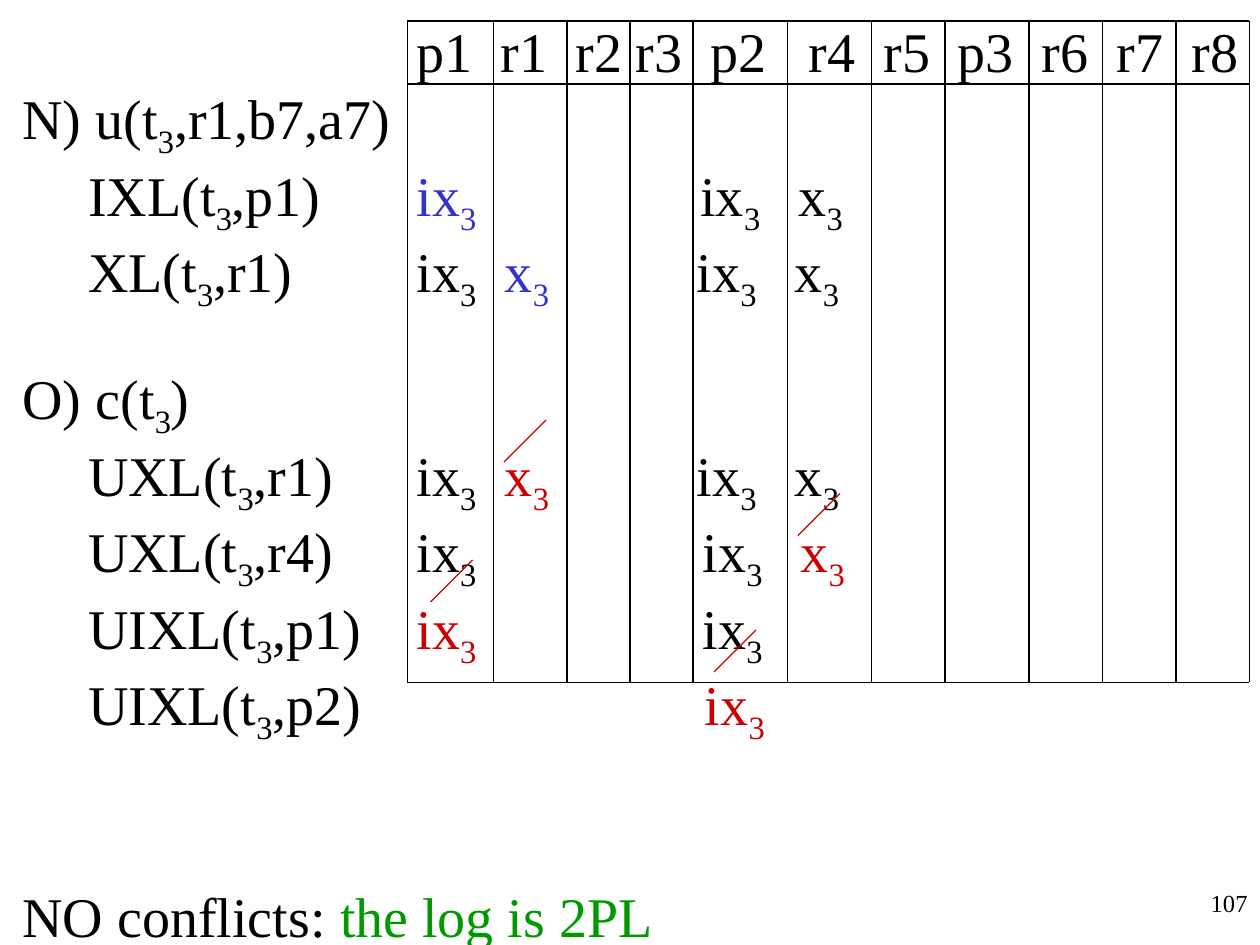
from lxml.etree import SubElement
from pptx import Presentation
from pptx.dml.color import RGBColor
from pptx.enum.shapes import MSO_CONNECTOR
from pptx.enum.text import PP_ALIGN as Align
from pptx.oxml.ns import qn
from pptx.util import Pt

COLORS = {"black": "000000", "blue": "3333CC", "red": "CC0000", "green": "009900"}
FONT = "Times New Roman"
FRAME = {
    "word_wrap": True,
    "margin_left": Pt(7.2), "margin_right": Pt(7.2),
    "margin_top": Pt(3.6), "margin_bottom": Pt(3.6),
}

# Tab positions, measured from the left edge of the text
COMMAND, P1, R1 = 37.5, 225.2, 275.6
HEADER_TABS = [P1, 273.2, 316, 350.4, 393.2, 449.3, 492, 534.5, 582.5, 625.2, 668]
RESOURCES = ["p1", "r1", "r2", "r3", "p2", "r4", "r5", "p3", "r6", "r7", "r8"]

STEP_GAP, CONCLUSION_GAP = 28.9, 76.9

# Each row: space before, then cells of (tab position, text, colour).
# An underscore sets the next character as a subscript.
LOG_ROWS = [
    (0, [(tab, name, "black") for tab, name in zip(HEADER_TABS, RESOURCES)]),
    (0, [(0, "N) u(t_3,r1,b7,a7)", "black")]),
    (0, [(COMMAND, "IXL(t_3,p1)", "black"), (P1, "ix_3", "blue"),
         (387.4, "ix_3", "black"), (443.5, "x_3", "black")]),
    (0, [(COMMAND, "XL(t_3,r1)", "black"), (P1, "ix_3", "black"),
         (R1, "x_3", "blue"), (385.3, "ix_3", "black"), (441.3, "x_3", "black")]),
    (STEP_GAP, [(0, "O) c(t_3)", "black")]),
    (0, [(COMMAND, "UXL(t_3,r1)", "black"), (P1, "ix_3", "black"),
         (R1, "x_3", "red"), (385.3, "ix_3", "black"), (441.3, "x_3", "black")]),
    (0, [(COMMAND, "UXL(t_3,r4)", "black"), (P1, "ix_3", "black"),
         (388.7, "ix_3", "black"), (444.6, "x_3", "red")]),
    (0, [(COMMAND, "UIXL(t_3,p1)", "black"), (P1, "ix_3", "red"),
         (388.7, "ix_3", "black")]),
    (0, [(COMMAND, "UIXL(t_3,p2)", "black"), (390, "ix_3", "red")]),
    (CONCLUSION_GAP, [(0, "NO conflicts: ", "black"), (0, "the log is 2PL", "green")]),
]

GRID_LEFT, GRID_RIGHT, GRID_TOP, HEADER_BOTTOM, GRID_BOTTOM = 232.8, 714, 12, 48, 390
COLUMN_EDGES = [GRID_LEFT, 282, 324, 360, 396, 450, 498, 540, 588, 630, 672, GRID_RIGHT]
STRIKE_STARTS = [(408, 384), (288, 264), (456, 306), (246, 344)]
STRIKE_SIZE = 24


def set_values(target, values):
    for name, value in values.items():
        setattr(target, name, value)


def add_frame(slide, left, top, width, height):
    box = slide.shapes.add_textbox(Pt(left), Pt(top), Pt(width), Pt(height))
    set_values(box.text_frame, FRAME)
    return box.text_frame


def add_run(paragraph, text, size, color, baseline=0):
    run = paragraph.add_run()
    run.text = text
    set_values(run.font, {"name": FONT, "size": Pt(size)})
    run.font.color.rgb = RGBColor.from_string(COLORS[color])
    if baseline:
        run.font._element.set("baseline", str(baseline))


def add_tabs(paragraph, positions):
    tab_list = SubElement(paragraph._p.get_or_add_pPr(), qn("a:tabLst"))
    for position in positions:
        SubElement(tab_list, qn("a:tab"), pos=str(int(Pt(position))), algn="l")


def add_cell(paragraph, tab, text, color):
    """Write one cell at its tab, with subscripts after underscores."""
    first, *rest = text.split("_")
    add_run(paragraph, ("\t" if tab else "") + first, 32, color)
    for part in rest:
        add_run(paragraph, part[0], 32, color, baseline=-25000)
        if part[1:]:
            add_run(paragraph, part[1:], 32, color)


def add_log(slide):
    frame = add_frame(slide, 5.76, 6, 714.24, 534)
    for index, (gap, cells) in enumerate(LOG_ROWS):
        paragraph = frame.add_paragraph() if index else frame.paragraphs[0]
        tabs = [tab for tab, _, _ in cells if tab]
        if tabs:
            add_tabs(paragraph, tabs)
        if gap:
            paragraph.space_before = Pt(gap)
        for cell in cells:
            add_cell(paragraph, *cell)


def add_page_number(slide):
    paragraph = add_frame(slide, 570, 504, 150, 36).paragraphs[0]
    paragraph.alignment = Align.RIGHT
    add_run(paragraph, "107", 14, "black")


def add_line(slide, start, end, color="black"):
    line = slide.shapes.add_connector(
        MSO_CONNECTOR.STRAIGHT, *(Pt(value) for value in (*start, *end)))
    line.line.width = Pt(0.75)
    line.line.color.rgb = RGBColor.from_string(COLORS[color])
    SubElement(line._element.spPr, qn("a:effectLst"))


def add_grid(slide):
    for y in (GRID_TOP, HEADER_BOTTOM, GRID_BOTTOM):
        add_line(slide, (GRID_LEFT, y), (GRID_RIGHT, y))
    for x in COLUMN_EDGES:
        add_line(slide, (x, GRID_TOP), (x, GRID_BOTTOM))


def add_strikes(slide):
    """Mark the released locks with rising strokes."""
    for x, y in STRIKE_STARTS:
        add_line(slide, (x, y), (x + STRIKE_SIZE, y - STRIKE_SIZE), "red")


def main():
    presentation = Presentation()
    set_values(presentation, {"slide_width": Pt(720), "slide_height": Pt(540)})
    slide = presentation.slides.add_slide(presentation.slide_layouts[6])
    add_page_number(slide)
    add_log(slide)
    add_grid(slide)
    add_strikes(slide)
    presentation.save("out.pptx")


if __name__ == "__main__":
    main()
